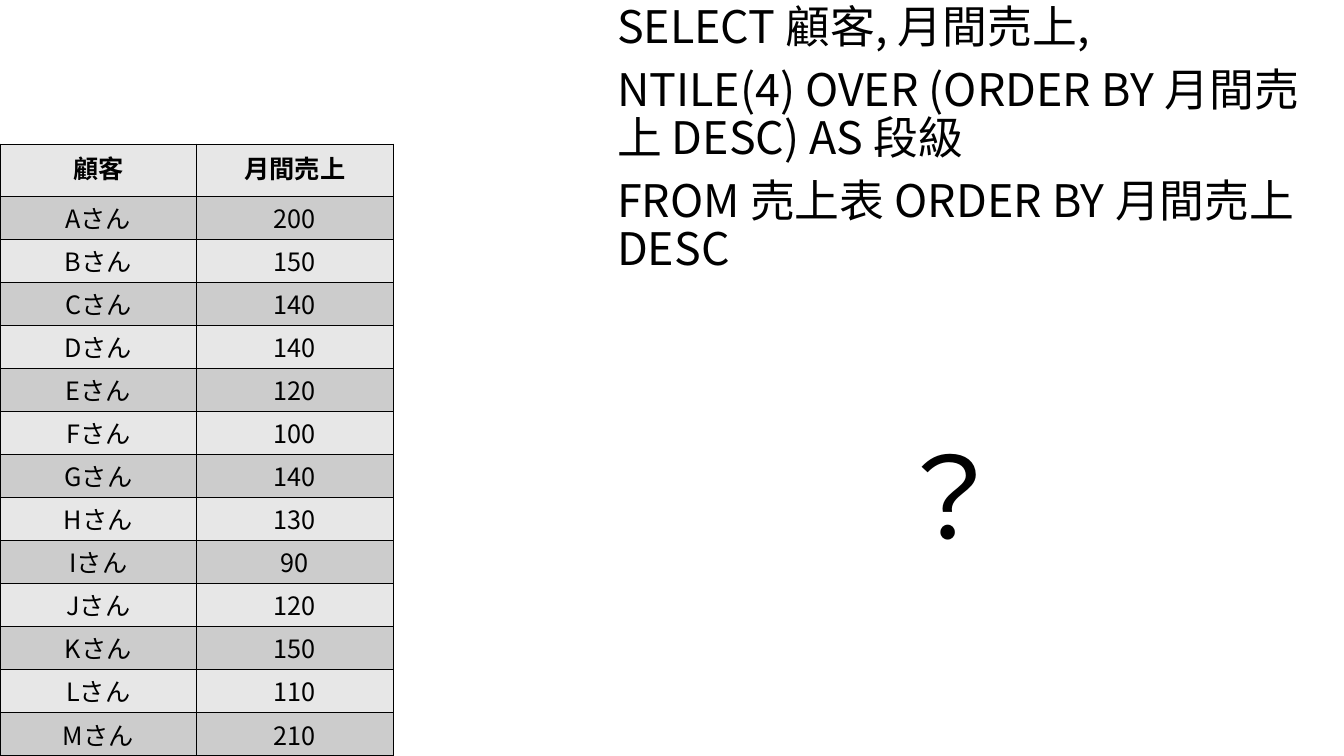
import pptx
import pptx.dml.color
import pptx.enum.text
import pptx.oxml
import pptx.oxml.ns
import pptx.util
from lxml import etree

Inches = pptx.util.Inches
FACE = "Noto Sans CJK JP"
BLACK = "000000"
SHADES = ["E7E7E7", "CCCCCC"]


def paint(hue):
    return pptx.dml.color.RGBColor.from_string(hue)


def style(para, size, bold=False):
    font = para.font
    font.size = pptx.util.Pt(size)
    font.bold = bold
    font.color.rgb = paint(BLACK)
    font.name = FACE
    props = para._p.pPr.find(pptx.oxml.ns.qn("a:defRPr"))
    etree.SubElement(props, pptx.oxml.ns.qn("a:ea"), typeface=FACE)


deck = pptx.Presentation()
deck.slide_width = Inches(13.33)
deck.slide_height = Inches(7.5)
slide = deck.slides.add_slide(deck.slide_layouts[0])
title = slide.shapes.title
title.element.getparent().remove(title.element)

query = slide.placeholders[1]
query.left, query.top = Inches(6.02), Inches(0)
query.width, query.height = Inches(7.31), Inches(3.25)
frame = query.text_frame
frame.text = "\n".join([
    "SELECT 顧客, 月間売上,",
    "NTILE(4) OVER (ORDER BY 月間売上 DESC) AS 段級",
    "FROM 売上表 ORDER BY 月間売上 DESC",
])
frame.auto_size = pptx.enum.text.MSO_AUTO_SIZE.NONE
for num, para in enumerate(frame.paragraphs):
    para.alignment = pptx.enum.text.PP_ALIGN.LEFT
    para.line_spacing = 0.9
    para.space_before = pptx.util.Pt(10 if num else 0)
    style(para, 32)

mark = slide.shapes.add_textbox(Inches(8.76), Inches(4.19), Inches(2.64), Inches(1.45))
mark.text_frame.word_wrap = True
mark.text_frame.text = "？"
style(mark.text_frame.paragraphs[0], 80)

sales = [200, 150, 140, 140, 120, 100, 140, 130, 90, 120, 150, 110, 210]
rows = [("顧客", "月間売上")]
rows += [(f"{name}さん", str(sum)) for name, sum in zip("ABCDEFGHIJKLM", sales)]
head = Inches(0.52)
high = Inches(6.07)
table = slide.shapes.add_table(len(rows), 2, Inches(0), Inches(1.43), Inches(3.9), high).table

for num, row in enumerate(rows):
    table.rows[num].height = (high - head) // len(sales) if num else head
    for col, text in enumerate(row):
        cell = table.cell(num, col)
        cell.text = text
        cell.margin_top = Inches(0.03 if num else 0.05)
        cell.margin_bottom = Inches(0.03)
        para = cell.text_frame.paragraphs[0]
        para.alignment = pptx.enum.text.PP_ALIGN.CENTER
        style(para, 18, num == 0)
        props = cell._tc.get_or_add_tcPr()
        for side in ["lnL", "lnR", "lnT", "lnB"]:
            props.append(pptx.oxml.parse_xml(
                f'<a:{side} {pptx.oxml.ns.nsdecls("a")} w="12700">'
                f'<a:solidFill><a:srgbClr val="{BLACK}"/></a:solidFill></a:{side}>'
            ))
        cell.fill.solid()
        cell.fill.fore_color.rgb = paint(SHADES[num % 2])

deck.save("out.pptx")
